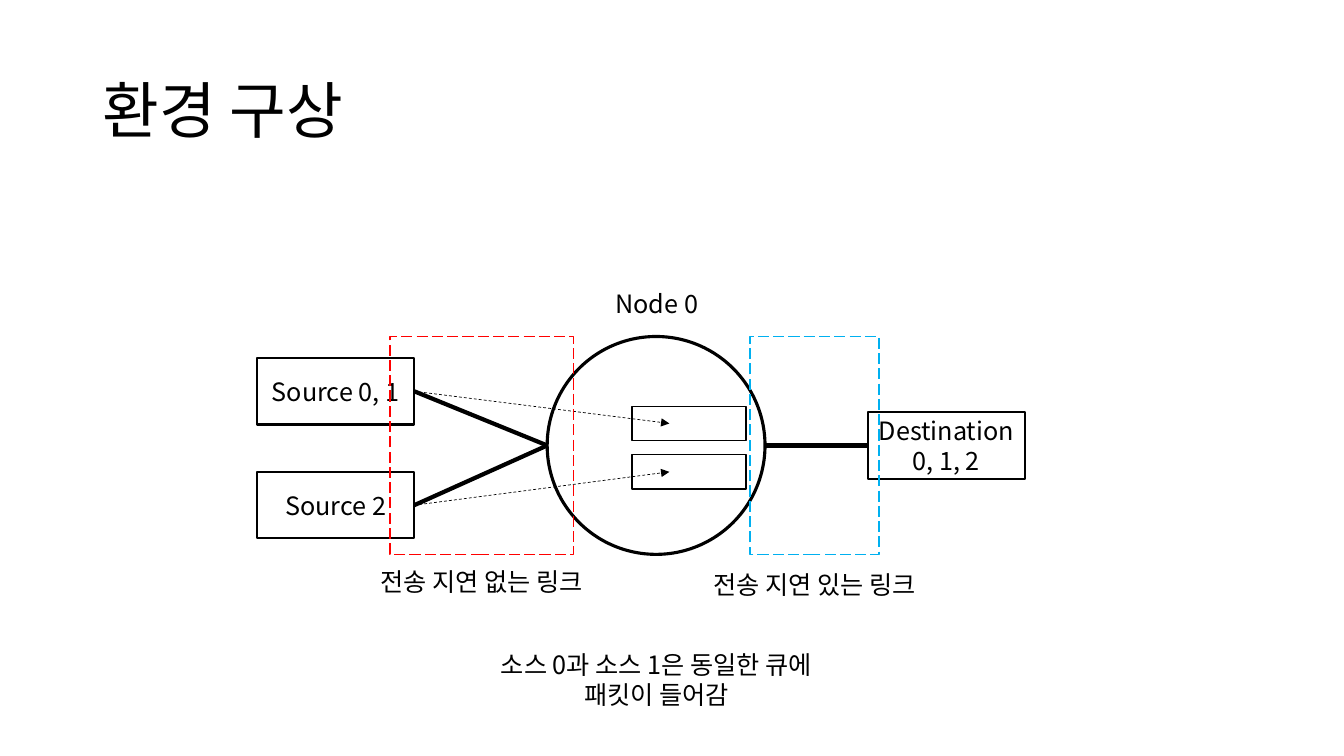
"""Build the slide that lays out the queueing test environment."""
import lxml.etree
import pptx
import pptx.dml.color
import pptx.enum.dml
import pptx.enum.shapes
import pptx.enum.text
import pptx.oxml.ns
import pptx.util

Cm = pptx.util.Cm
Pt = pptx.util.Pt
SHAPES = pptx.enum.shapes.MSO_SHAPE
DASHES = pptx.enum.dml.MSO_LINE
ALIGN = pptx.enum.text.PP_ALIGN
ANCHOR = pptx.enum.text.MSO_ANCHOR
FONT = "Noto Sans CJK KR"
COLORS = {"ink": "000000", "no_delay": "FF0000", "delay": "00B0F0"}
END_SIZE = (3.96, 1.68)
QUEUE_SIZE = (2.87, 0.86)


def color(name):
    """Return the named colour."""
    return pptx.dml.color.RGBColor.from_string(COLORS[name])


def add_child(parent, tag, **attributes):
    """Append a drawing element to its parent."""
    return lxml.etree.SubElement(parent, pptx.oxml.ns.qn(tag), **attributes)


def write(frame, text, size=18, align=ALIGN.CENTER, anchor=ANCHOR.TOP, spacing=None):
    """Fill a text frame with one formatted paragraph."""
    frame.word_wrap = True
    frame.vertical_anchor = anchor
    para = frame.paragraphs[0]
    para.alignment = align
    para.line_spacing = spacing
    span = para.add_run()
    span.text = text
    span.font.size = Pt(size)
    span.font.color.rgb = color("ink")
    span.font.name = FONT
    add_child(span.font._element, "a:ea", typeface=FONT)


def style_line(line, width, name="ink", dash=None):
    """Set the colour, width and dash of a line."""
    line.color.rgb = color(name)
    line.width = Pt(width)
    if dash is not None:
        line.dash_style = dash


def add_outline(page, box, width, kind=SHAPES.RECTANGLE, text=None, **line_format):
    """Draw an unfilled shape with optional centred text."""
    shape = page.shapes.add_shape(kind, *map(Cm, box))
    shape.shadow.inherit = False
    shape.fill.background()
    style_line(shape.line, width, **line_format)
    if text:
        write(shape.text_frame, text, anchor=ANCHOR.MIDDLE)


def add_label(page, box, text):
    """Place a centred text box."""
    label = page.shapes.add_textbox(*map(Cm, box))
    write(label.text_frame, text)


def add_link(page, start, end, width, arrow=False):
    """Join two points with a solid link or a dashed arrow."""
    link = page.shapes.add_connector(
        pptx.enum.shapes.MSO_CONNECTOR.STRAIGHT, *map(Cm, start + end))
    style_line(link.line, width, dash=DASHES.DASH if arrow else None)
    if arrow:
        add_child(link.line._get_or_add_ln(), "a:tailEnd", type="triangle")
    add_child(link._element.spPr, "a:effectLst")


def add_title(page, box, text):
    """Place and fill the title placeholder."""
    title = page.shapes.title
    title.left, title.top, title.width, title.height = map(Cm, box)
    write(title.text_frame, text, size=44, align=ALIGN.LEFT,
          anchor=ANCHOR.MIDDLE, spacing=0.9)


def add_node(page, box):
    """Draw the node with its two queues and return the queue entry points."""
    left, top, width, height = box
    add_outline(page, box, 2.25, kind=SHAPES.OVAL)
    add_label(page, (left + 0.54, top - 1.34, 4.45, 1.02), "Node 0")
    entries = []
    for offset in (1.76, 2.98):
        add_outline(page, (left + 2.14, top + offset, *QUEUE_SIZE), 1)
        entries.append((left + 3.08, top + offset + QUEUE_SIZE[1] / 2))
    return entries


def add_sources(page, box, target, entries):
    """Stack the sources and link each to the node and its queue."""
    left, top, width, height = box
    step = height - END_SIZE[1]
    for index, (text, entry) in enumerate(zip(("Source 0, 1", "Source 2"), entries)):
        place = top + index * step
        exit_point = (left + width, place + END_SIZE[1] / 2)
        add_outline(page, (left, place, *END_SIZE), 1.5, text=text)
        add_link(page, exit_point, target, 3)
        add_link(page, exit_point, entry, 0.5, arrow=True)


def add_destination(page, box, origin):
    """Draw the destination and its link from the node."""
    left, top, width, height = box
    add_outline(page, box, 1.5, text="Destination 0, 1, 2")
    add_link(page, (left, top + height / 2), origin, 3)


def add_link_zone(page, box, name, text, gap):
    """Frame a group of links and caption it below."""
    left, top, width, height = box
    caption_width = 6.83
    add_outline(page, box, 1, name=name, dash=DASHES.LONG_DASH)
    add_label(page, (left + (width - caption_width) / 2, top + height + gap,
                     caption_width, 1.02), text)


def add_network(page, box):
    """Lay out sources, node, destination and link zones."""
    left, top, width, height = box
    node_left, middle = left + 7.31, top + height / 2
    entries = add_node(page, (node_left, top, height, height))
    add_sources(page, (left, top + 0.54, END_SIZE[0], 4.55),
                (node_left, middle), entries)
    add_destination(page, (left + width - END_SIZE[0], middle - END_SIZE[1] / 2,
                           *END_SIZE), (node_left + height, middle))
    add_link_zone(page, (left + 3.35, top, 4.62, height), "no_delay",
                  "전송 지연 없는 링크", 0.18)
    add_link_zone(page, (left + 12.42, top, 3.25, height), "delay",
                  "전송 지연 있는 링크", 0.25)


deck = pptx.Presentation()
deck.slide_width, deck.slide_height = Cm(33.87), Cm(19.05)
page = deck.slides.add_slide(deck.slide_layouts[5])
add_title(page, (2.33, 1.01, 29.21, 3.68), "환경 구상")
add_network(page, (6.48, 8.48, 19.35, 5.49))
add_label(page, (12.24, 16.23, 8.61, 1.8), "소스 0과 소스 1은 동일한 큐에 패킷이 들어감")
deck.save("out.pptx")
